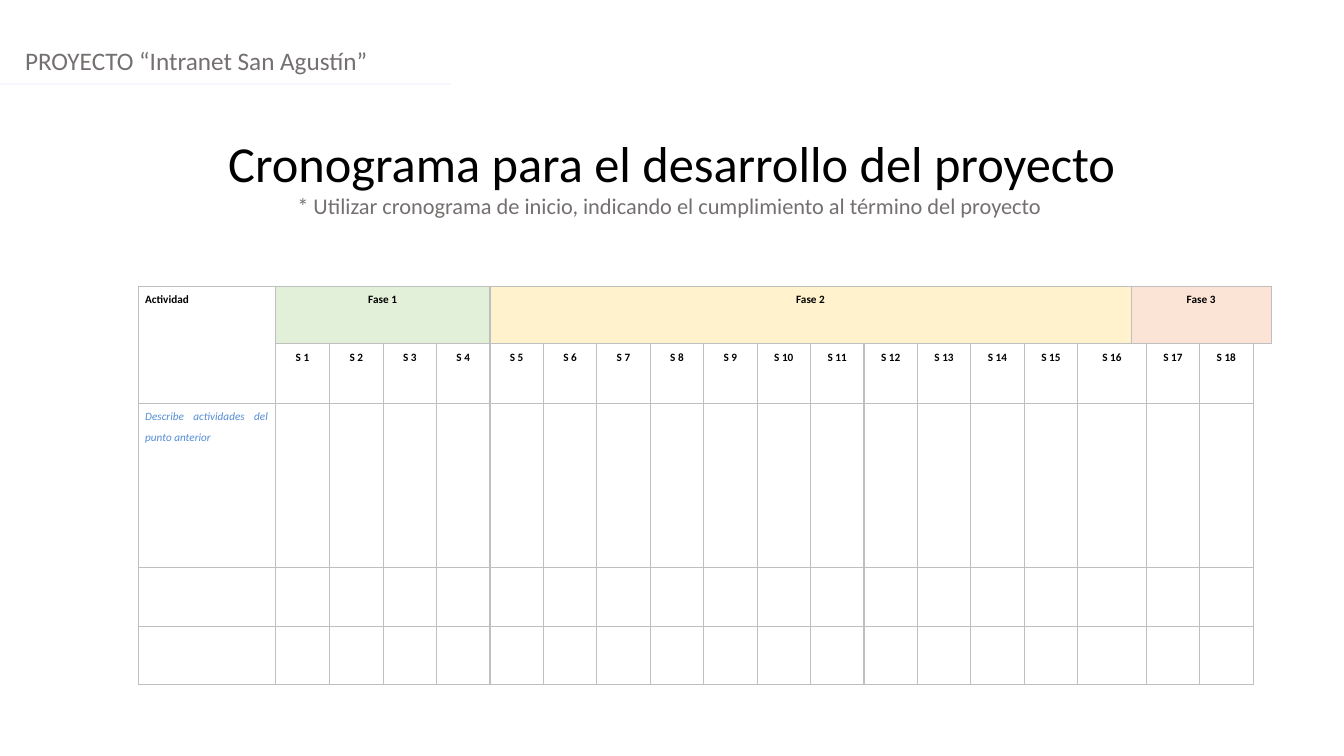
import pptx
import pptx.dml.color
import pptx.enum.shapes
import pptx.enum.text
import pptx.oxml.ns
import pptx.util
from lxml import etree

RGBColor = pptx.dml.color.RGBColor
Inches = pptx.util.Inches
ALIGN = pptx.enum.text.PP_ALIGN

BLACK = RGBColor(0x00, 0x00, 0x00)
GRAY = RGBColor(0x75, 0x70, 0x70)
BLUE = RGBColor(0x54, 0x8D, 0xD4)
PALE = RGBColor(0xF5, 0xF7, 0xFC)
GRID = RGBColor(0xBF, 0xBF, 0xBF)
GREEN = RGBColor(0xE2, 0xEF, 0xD9)
YELLOW = RGBColor(0xFF, 0xF2, 0xCC)
PEACH = RGBColor(0xFB, 0xE4, 0xD5)

PROJECT = "PROYECTO “Intranet San Agustín”"
TITLE = "Cronograma para el desarrollo del proyecto"
NOTE = "* Utilizar cronograma de inicio, indicando el cumplimiento al término del proyecto "
ACTIVITY = "Actividad"
ACTIVITY_HINT = "Describe actividades del punto anterior"
# name, columns covered, fill
PHASES = [("Fase 1", 4, GREEN), ("Fase 2", 12, YELLOW), ("Fase 3", 4, PEACH)]
WEEKS = [f"S {number}" for number in range(1, 19)]
WIDE_WEEK = "S 16"

SLIDE_W, SLIDE_H = 13.33, 7.5
WEEK_W, SLIVER_W = 0.53, 0.15
ROWS = [0.57, 0.59, 1.63, 0.59, 0.57]
WIDE_COL = WEEKS.index(WIDE_WEEK) + 1
COLS = ([1.36, 0.54] + [WEEK_W] * (WIDE_COL - 1) + [SLIVER_W]
        + [WEEK_W] * (len(WEEKS) - WIDE_COL) + [SLIVER_W])
LAST_COL = len(COLS) - 1
TABLE_LEFT, TABLE_TOP = 1.37, 2.84
NO_STYLE = "{2D5ABB26-0587-4C30-8999-92F81FD0307C}"


def write(paragraph, text, size=8, color=BLACK, bold=False, italic=False,
          align=None, spacing=None):
    paragraph.alignment = align
    paragraph.line_spacing = spacing
    run = paragraph.add_run()
    run.text = text
    run.font.name = "Calibri"
    run.font.size = pptx.util.Pt(size)
    run.font.bold = bold
    run.font.italic = italic
    run.font.color.rgb = color


def add_textbox(slide, left, top, height):
    box = slide.shapes.add_textbox(Inches(left), Inches(top), Inches(SLIDE_W), Inches(height))
    box.text_frame.word_wrap = True
    return box.text_frame


def set_borders(cell, sides):
    """Draw grid lines on the given sides (letters of LRTB) and none on the others."""
    properties = cell._tc.get_or_add_tcPr()
    for side in "LRTB":
        line = etree.SubElement(properties, pptx.oxml.ns.qn(f"a:ln{side}"), w="12700")
        if side in sides:
            fill = etree.SubElement(line, pptx.oxml.ns.qn("a:solidFill"))
            etree.SubElement(fill, pptx.oxml.ns.qn("a:srgbClr"), val=str(GRID))
        else:
            etree.SubElement(line, pptx.oxml.ns.qn("a:noFill"))


def write_cell(cell, text, **text_format):
    write(cell.text_frame.paragraphs[0], text, spacing=1.5, **text_format)


def add_schedule(slide):
    frame = slide.shapes.add_table(len(ROWS), len(COLS), Inches(TABLE_LEFT), Inches(TABLE_TOP),
                                   Inches(sum(COLS)), Inches(sum(ROWS)))
    schedule = frame.table
    schedule.first_row = schedule.horz_banding = False
    schedule._tbl.tblPr.find(pptx.oxml.ns.qn("a:tableStyleId")).text = NO_STYLE
    for column, width in zip(schedule.columns, COLS):
        column.width = Inches(width)
    for row, height in zip(schedule.rows, ROWS):
        row.height = Inches(height)

    for r in range(len(ROWS)):
        for c in range(len(COLS)):
            cell = schedule.cell(r, c)
            cell.margin_left = cell.margin_right = Inches(0.07)
            cell.margin_top = cell.margin_bottom = 0
            outside = c == LAST_COL and r > 0
            set_borders(cell, ("LT" if r == 1 else "L") if outside else "LRTB")
            cell.fill.background()

    schedule.cell(0, 0).merge(schedule.cell(1, 0))
    write_cell(schedule.cell(0, 0), ACTIVITY, bold=True, align=ALIGN.JUSTIFY)
    write_cell(schedule.cell(2, 0), ACTIVITY_HINT, color=BLUE, italic=True, align=ALIGN.JUSTIFY)

    start = 1
    for name, span, color in PHASES:
        phase = schedule.cell(0, start)
        phase.merge(schedule.cell(0, start + span - 1))
        phase.fill.solid()
        phase.fill.fore_color.rgb = color
        write_cell(phase, name, bold=True, align=ALIGN.CENTER)
        start += span

    for r in range(1, len(ROWS)):
        schedule.cell(r, WIDE_COL).merge(schedule.cell(r, WIDE_COL + 1))
    for number, week in enumerate(WEEKS, 1):
        column = number + (number > WIDE_COL)
        write_cell(schedule.cell(1, column), week, bold=True, align=ALIGN.CENTER)


def main():
    deck = pptx.Presentation()
    deck.slide_width, deck.slide_height = Inches(SLIDE_W), Inches(SLIDE_H)
    slide = deck.slides.add_slide(deck.slide_layouts[6])

    project = add_textbox(slide, 0.15, 0.4, 0.4)
    write(project.paragraphs[0], PROJECT, size=18, color=GRAY)

    heading = add_textbox(slide, 0, 1.26, 0.98)
    write(heading.paragraphs[0], TITLE, size=36, align=ALIGN.CENTER)
    write(heading.add_paragraph(), NOTE, size=16, color=GRAY, align=ALIGN.CENTER)

    rule = slide.shapes.add_connector(pptx.enum.shapes.MSO_CONNECTOR.STRAIGHT,
                                      0, Inches(0.83), Inches(4.47), Inches(0.83))
    rule.line.color.rgb = PALE
    rule.line.width = pptx.util.Pt(1.25)
    etree.SubElement(rule._element.spPr, pptx.oxml.ns.qn("a:effectLst"))

    add_schedule(slide)
    deck.save("out.pptx")


if __name__ == "__main__":
    main()
